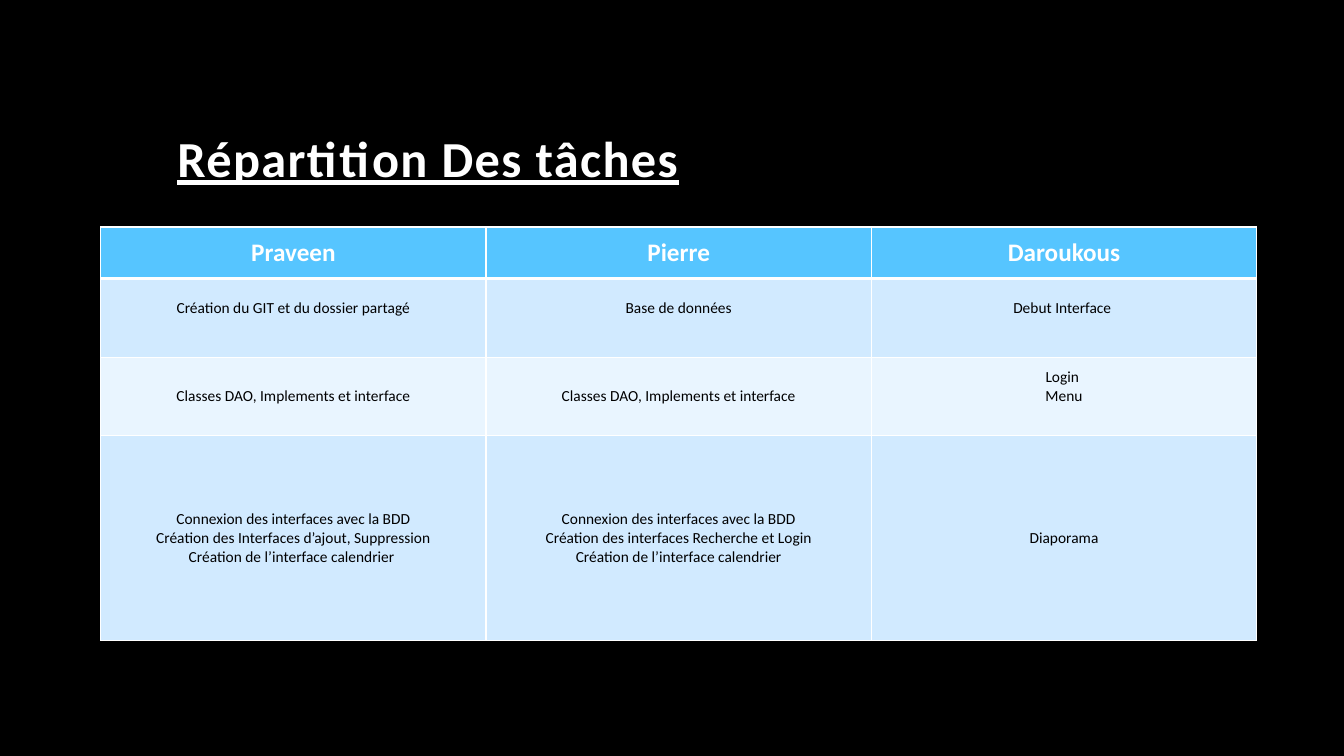
"""Build the slide that shares out the project tasks between three people."""
from lxml import etree
from pptx import Presentation
from pptx.dml.color import RGBColor
from pptx.enum.text import MSO_ANCHOR, PP_ALIGN
from pptx.oxml.ns import qn
from pptx.util import Cm, Pt

CENTER = PP_ALIGN.CENTER
MIDDLE = MSO_ANCHOR.MIDDLE
BOTTOM = MSO_ANCHOR.BOTTOM
FONT = "Calibri"
COLORS = {
    "background": "000000",
    "header": "56C5FF",
    "odd": "D1EAFF",
    "even": "E9F5FF",
    "light": "FFFFFF",
    "dark": "000000",
}
ROW_HEIGHTS = [1.3, 1.98, 1.98, 5.16]
COLUMN_WIDTH = 9.71
TASKS = [
    [["Praveen"], ["Pierre"], ["Daroukous"]],
    [["Création du GIT et du dossier partagé"], ["Base de données"], ["Debut Interface "]],
    [
        ["Classes DAO, Implements et interface"],
        ["Classes DAO, Implements et interface"],
        ["Login ", "Menu"],
    ],
    [
        [
            "Connexion des interfaces avec la BDD",
            "Création des Interfaces d’ajout, Suppression",
            "Création de l’interface calendrier ",
        ],
        [
            "Connexion des interfaces avec la BDD",
            "Création des interfaces Recherche et Login",
            "Création de l’interface calendrier",
        ],
        ["Diaporama"],
    ],
]
RAISED_CELLS = [(1, 0), (1, 1), (1, 2), (2, 2)]


def add_run(paragraph, text, size, color, bold):
    """Add one formatted run to a paragraph."""
    run = paragraph.add_run()
    run.text = text
    run.font.name = FONT
    run.font.size = Pt(size)
    run.font.bold = bold
    run.font.color.rgb = RGBColor.from_string(COLORS[color])
    return run


def add_border(cell, side, width):
    """Draw one white side of a table cell."""
    line = etree.SubElement(cell._tc.get_or_add_tcPr(), qn(f"a:ln{side}"), w=str(Pt(width)))
    fill = etree.SubElement(line, qn("a:solidFill"))
    etree.SubElement(fill, qn("a:srgbClr"), val=COLORS["light"])


presentation = Presentation()
presentation.slide_width = Cm(33.87)
presentation.slide_height = Cm(19.05)
slide = presentation.slides.add_slide(presentation.slide_layouts[6])
slide.background.fill.solid()
slide.background.fill.fore_color.rgb = RGBColor.from_string(COLORS["background"])

title = slide.shapes.add_textbox(Cm(4.22), Cm(1.07), Cm(25.4), Cm(3.81))
title.text_frame.word_wrap = True
title.text_frame.vertical_anchor = BOTTOM
paragraph = title.text_frame.paragraphs[0]
paragraph.line_spacing = 0.9
title_run = add_run(paragraph, "Répartition Des tâches", 36, "light", True)
title_run.font.underline = True
title_run.font._element.set("spc", "100")

table = slide.shapes.add_table(
    len(TASKS), len(TASKS[0]), Cm(2.54), Cm(5.72),
    Cm(COLUMN_WIDTH * len(TASKS[0])), Cm(sum(ROW_HEIGHTS)),
).table
for column in table.columns:
    column.width = Cm(COLUMN_WIDTH)

for row_index, row_tasks in enumerate(TASKS):
    table.rows[row_index].height = Cm(ROW_HEIGHTS[row_index])
    is_header = row_index == 0
    fill_name = "header" if is_header else ("even", "odd")[row_index % 2]
    for column_index, lines in enumerate(row_tasks):
        cell = table.cell(row_index, column_index)
        cell.vertical_anchor = MIDDLE
        if (row_index, column_index) in RAISED_CELLS:
            cell.margin_bottom = Cm(0.61)
        for side in "LRTB":
            is_thick = (row_index, side) in [(0, "B"), (1, "T")]
            add_border(cell, side, 3 if is_thick else 1)
        cell.fill.solid()
        cell.fill.fore_color.rgb = RGBColor.from_string(COLORS[fill_name])
        for line_index, text in enumerate(lines):
            frame = cell.text_frame
            paragraph = frame.add_paragraph() if line_index else frame.paragraphs[0]
            paragraph.alignment = CENTER
            add_run(paragraph, text, 18 if is_header else 11,
                    "light" if is_header else "dark", is_header)

presentation.save("out.pptx")
